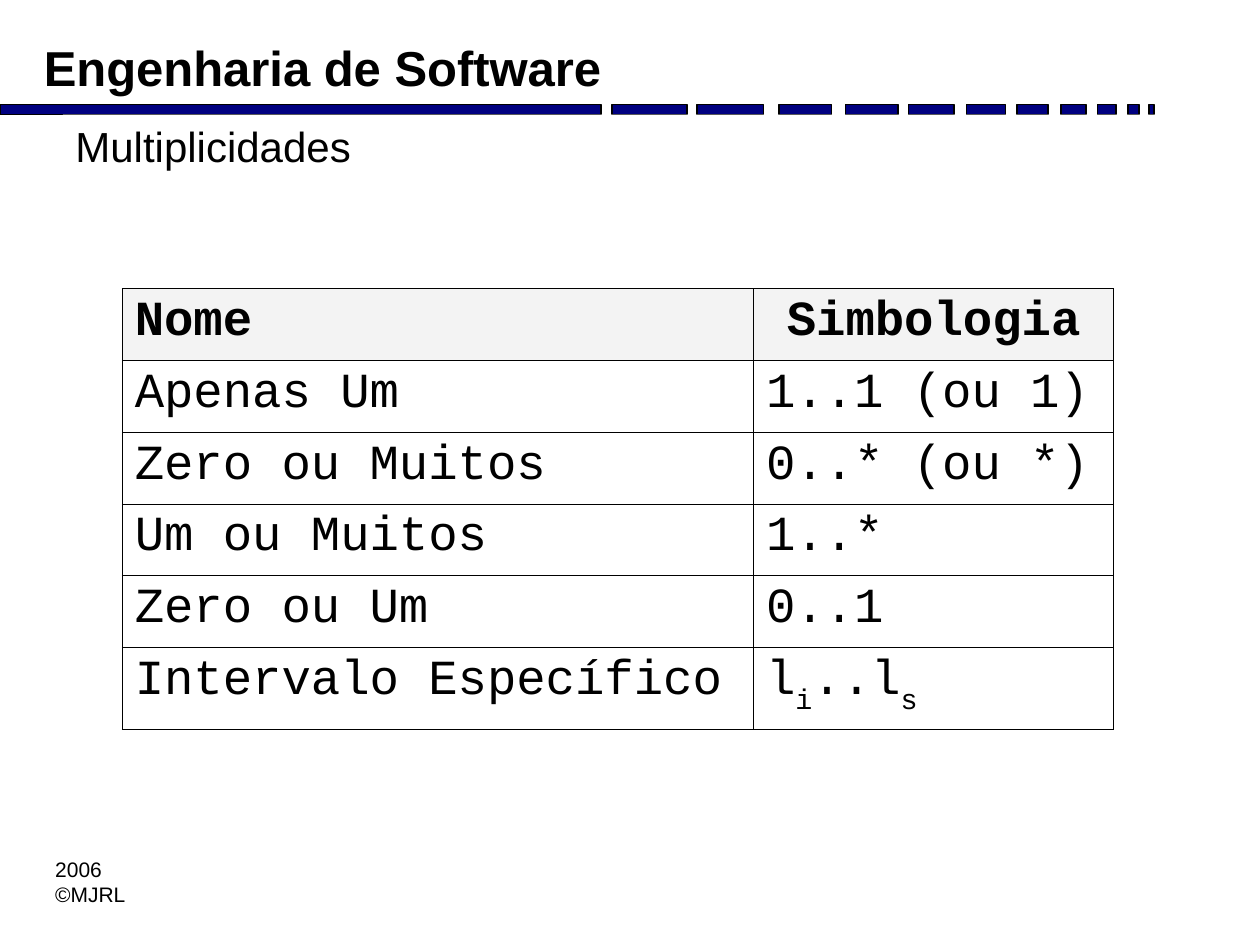
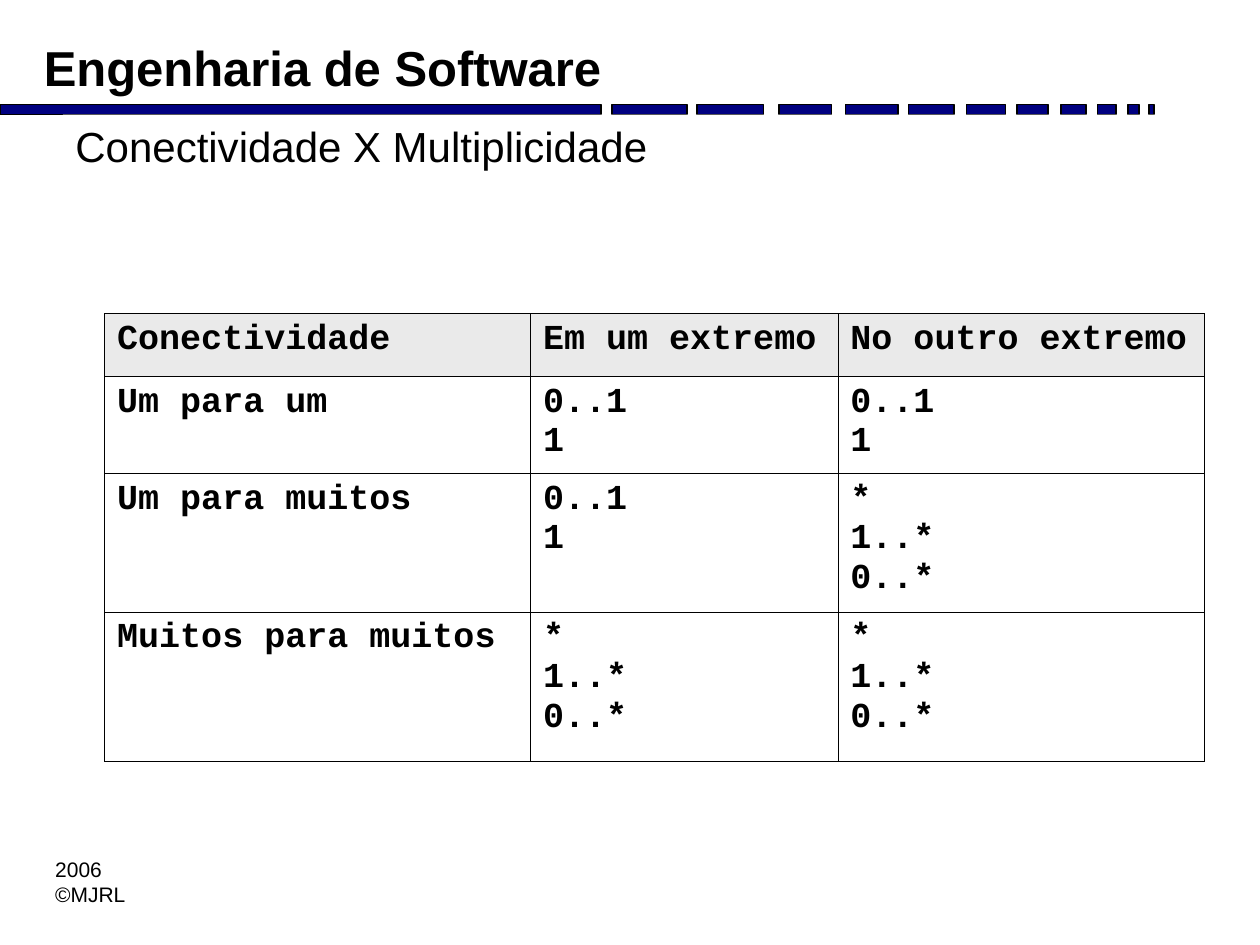
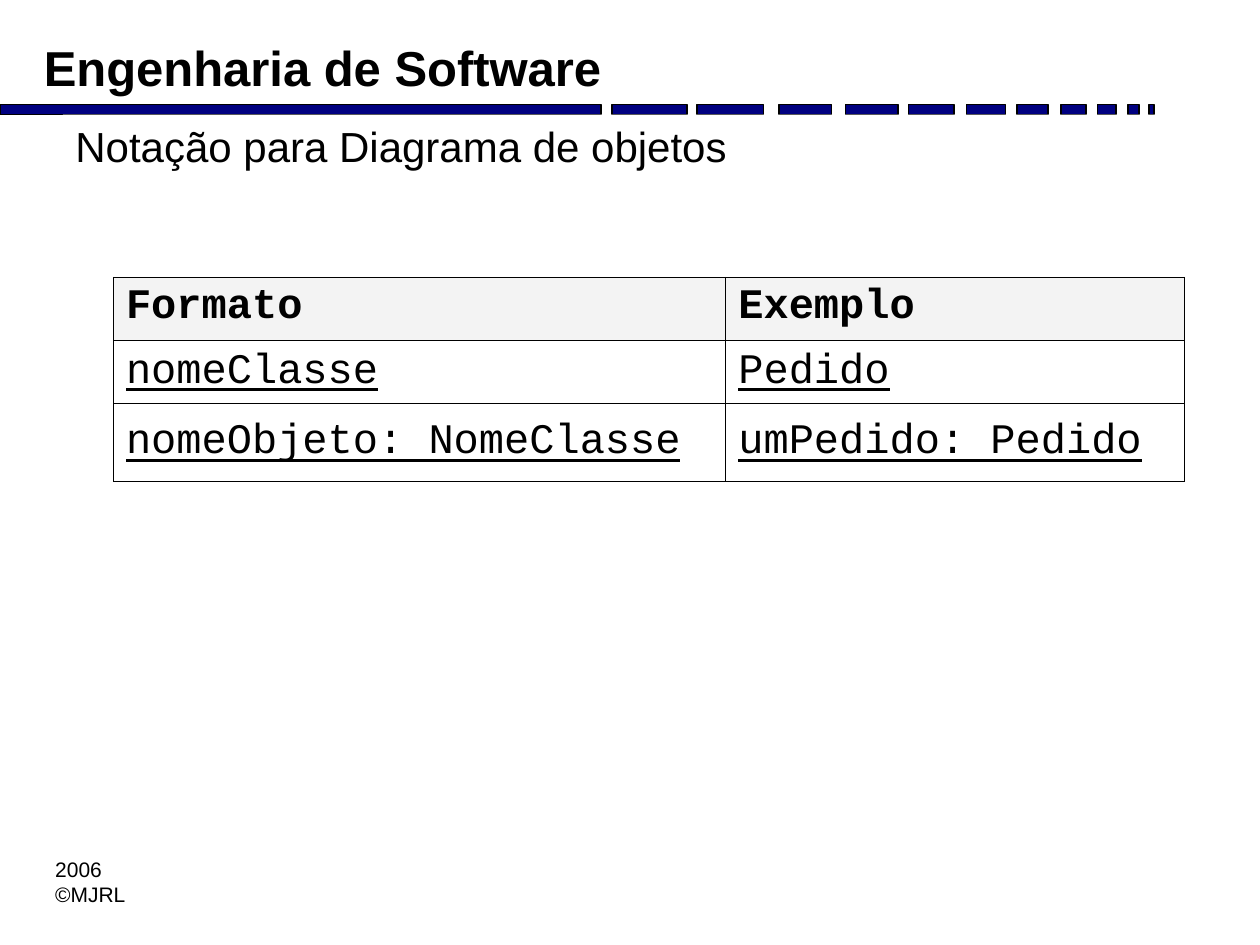
from dataclasses import dataclass
from typing import Any

from lxml.etree import SubElement
from pptx import Presentation
from pptx.dml.color import RGBColor
from pptx.enum.shapes import MSO_SHAPE
from pptx.enum.text import MSO_ANCHOR, PP_ALIGN
from pptx.oxml.ns import qn
from pptx.util import Emu, Pt

EMU_PER_PX = 9144
BLACK, WHITE, NAVY = "000000", "FFFFFF", "000080"
LIGHT_GRAY, GRAY = "F3F3F3", "EAEAEA"
SANS, MONO = "Arial", "Courier New"
BORDER_WIDTH = Pt(0.45)
HANGING_INDENT = 38
SUBSCRIPT_MARK = "~"


@dataclass(frozen=True)
class Box:
    left: int
    top: int
    width: int
    height: int


@dataclass(frozen=True)
class Segment:
    left: int
    width: int


@dataclass(frozen=True)
class TextStyle:
    name: str
    size: int
    bold: bool = False
    underline: bool = False


@dataclass(frozen=True)
class TableSlide:
    title: str
    left: int
    top: int
    columns: list[int]
    rows: list[int]
    cells: list[list[str]]
    header_style: TextStyle
    body_style: TextStyle
    header_fill: str = LIGHT_GRAY
    header_alignments: tuple[PP_ALIGN, ...] = ()
    body_anchor: MSO_ANCHOR = MSO_ANCHOR.TOP


HEADING_BOX = Box(25, 25, 483, 56)
FOOTER_BOX = Box(34, 675, 76, 50)
TITLE_BOX = Box(50, 91, 900, 64)
HEADING_STYLE = TextStyle(SANS, 28, bold=True)
FOOTER_STYLE = TextStyle(SANS, 12)
TITLE_STYLE = TextStyle(SANS, 24)
BAND_TOP, BAND_HEIGHT = 83, 8
BAND = [
    Segment(0, 477), Segment(486, 59), Segment(553, 53), Segment(618, 42),
    Segment(671, 42), Segment(721, 36), Segment(767, 31), Segment(807, 25),
    Segment(842, 20), Segment(871, 15), Segment(895, 9), Segment(912, 4),
]

MANY = "*\n1..*\n0..*"
ONE = "0..1\n1"
TABLE_SLIDES = [
    TableSlide(
        "Multiplicidades", 97, 229, [501, 286], [57] * 5 + [65],
        [
            ["Nome", "Simbologia"],
            ["Apenas Um", "1..1 (ou 1)"],
            ["Zero ou Muitos", "0..* (ou *)"],
            ["Um ou Muitos", "1..*"],
            ["Zero ou Um", "0..1"],
            ["Intervalo Específico", "l~i~..l~s"],
        ],
        TextStyle(MONO, 28, bold=True), TextStyle(MONO, 28),
        header_alignments=(PP_ALIGN.JUSTIFY, PP_ALIGN.CENTER),
    ),
    TableSlide(
        "Conectividade X Multiplicidade", 83, 249, [338, 244, 291], [50, 77, 110, 118],
        [
            ["Conectividade", "Em um extremo", "No outro extremo"],
            ["Um para um", ONE, ONE],
            ["Um para muitos", ONE, MANY],
            ["Muitos para muitos", MANY, MANY],
        ],
        TextStyle(MONO, 20, bold=True), TextStyle(MONO, 20, bold=True),
        header_fill=GRAY,
    ),
    TableSlide(
        "Notação para Diagrama de objetos", 90, 220, [486, 364], [50, 50, 62],
        [
            ["Formato", "Exemplo"],
            ["nomeClasse", "Pedido"],
            ["nomeObjeto: NomeClasse", "umPedido: Pedido"],
        ],
        TextStyle(MONO, 24, bold=True), TextStyle(MONO, 24, underline=True),
        body_anchor=MSO_ANCHOR.MIDDLE,
    ),
]


def px(length: int) -> Emu:
    return Emu(length * EMU_PER_PX)


def color(value: str) -> RGBColor:
    return RGBColor.from_string(value)


def place(box: Box) -> tuple[Emu, ...]:
    return px(box.left), px(box.top), px(box.width), px(box.height)


def apply_format(target: Any, values: dict[str, Any]) -> None:
    for name, value in values.items():
        setattr(target, name, value)


def fill_solid(target: Any, value: str) -> None:
    target.fill.solid()
    target.fill.fore_color.rgb = color(value)


def write_text(text_frame: Any, text: str, style: TextStyle,
               alignment: PP_ALIGN = PP_ALIGN.LEFT, indent: int = 0) -> None:
    font_format = {
        "name": style.name, "size": Pt(style.size),
        "bold": style.bold, "underline": style.underline,
    }
    for index, line in enumerate(text.split("\n")):
        paragraph = text_frame.add_paragraph() if index else text_frame.paragraphs[0]
        paragraph.alignment = alignment
        if indent:
            properties = paragraph._p.get_or_add_pPr()
            properties.set("marL", str(px(indent)))
            properties.set("indent", str(-px(indent)))
        for position, part in enumerate(line.split(SUBSCRIPT_MARK)):
            run = paragraph.add_run()
            run.text = part
            apply_format(run.font, font_format)
            run.font.color.rgb = color(BLACK)
            if position % 2:
                run._r.get_or_add_rPr().set("baseline", "-30000")


def add_rectangle(slide: Any, box: Box, fill: str, line: str | None = None) -> Any:
    shape = slide.shapes.add_shape(MSO_SHAPE.RECTANGLE, *place(box))
    shape.shadow.inherit = False
    fill_solid(shape, fill)
    if line:
        shape.line.color.rgb = color(line)
        shape.line.width = Pt(1)
    else:
        shape.line.fill.background()
    return shape


def add_text(slide: Any, box: Box, text: str, style: TextStyle, wrap: bool = True) -> None:
    text_frame = slide.shapes.add_textbox(*place(box)).text_frame
    text_frame.word_wrap = wrap
    write_text(text_frame, text, style)


def add_frame(slide: Any, title: str) -> None:
    for segment in BAND:
        box = Box(segment.left, BAND_TOP, segment.width, BAND_HEIGHT)
        add_rectangle(slide, box, NAVY, BLACK)
    add_text(slide, HEADING_BOX, "Engenharia de Software", HEADING_STYLE)
    add_text(slide, FOOTER_BOX, "2006\n©MJRL", FOOTER_STYLE, wrap=False)
    text_frame = add_rectangle(slide, TITLE_BOX, WHITE).text_frame
    apply_format(text_frame, {"word_wrap": True, "vertical_anchor": MSO_ANCHOR.TOP})
    write_text(text_frame, title, TITLE_STYLE)


def add_borders(cell: Any) -> None:
    properties = cell._tc.get_or_add_tcPr()
    for side in ("a:lnL", "a:lnR", "a:lnT", "a:lnB"):
        line = SubElement(properties, qn(side), w=str(BORDER_WIDTH))
        fill = SubElement(line, qn("a:solidFill"))
        SubElement(fill, qn("a:srgbClr"), val=BLACK)


def add_table(slide: Any, content: TableSlide) -> None:
    box = Box(content.left, content.top, sum(content.columns), sum(content.rows))
    table = slide.shapes.add_table(
        len(content.rows), len(content.columns), *place(box)).table
    apply_format(table, {"first_row": False, "horz_banding": False})
    for column, width in zip(table.columns, content.columns):
        column.width = px(width)
    for row, height in zip(table.rows, content.rows):
        row.height = px(height)
    header_alignments = content.header_alignments or (PP_ALIGN.JUSTIFY,) * len(content.columns)
    for row_index, texts in enumerate(content.cells):
        header = row_index == 0
        for column_index, text in enumerate(texts):
            cell = table.cell(row_index, column_index)
            add_borders(cell)
            fill_solid(cell, content.header_fill if header else WHITE)
            cell.vertical_anchor = MSO_ANCHOR.TOP if header else content.body_anchor
            write_text(
                cell.text_frame, text,
                content.header_style if header else content.body_style,
                header_alignments[column_index] if header else PP_ALIGN.JUSTIFY,
                HANGING_INDENT,
            )


def main() -> None:
    presentation = Presentation()
    apply_format(presentation, {"slide_width": px(1000), "slide_height": px(750)})
    blank_layout = presentation.slide_layouts[6]
    for content in TABLE_SLIDES:
        slide = presentation.slides.add_slide(blank_layout)
        add_frame(slide, content.title)
        add_table(slide, content)
    presentation.save("out.pptx")


if __name__ == "__main__":
    main()
